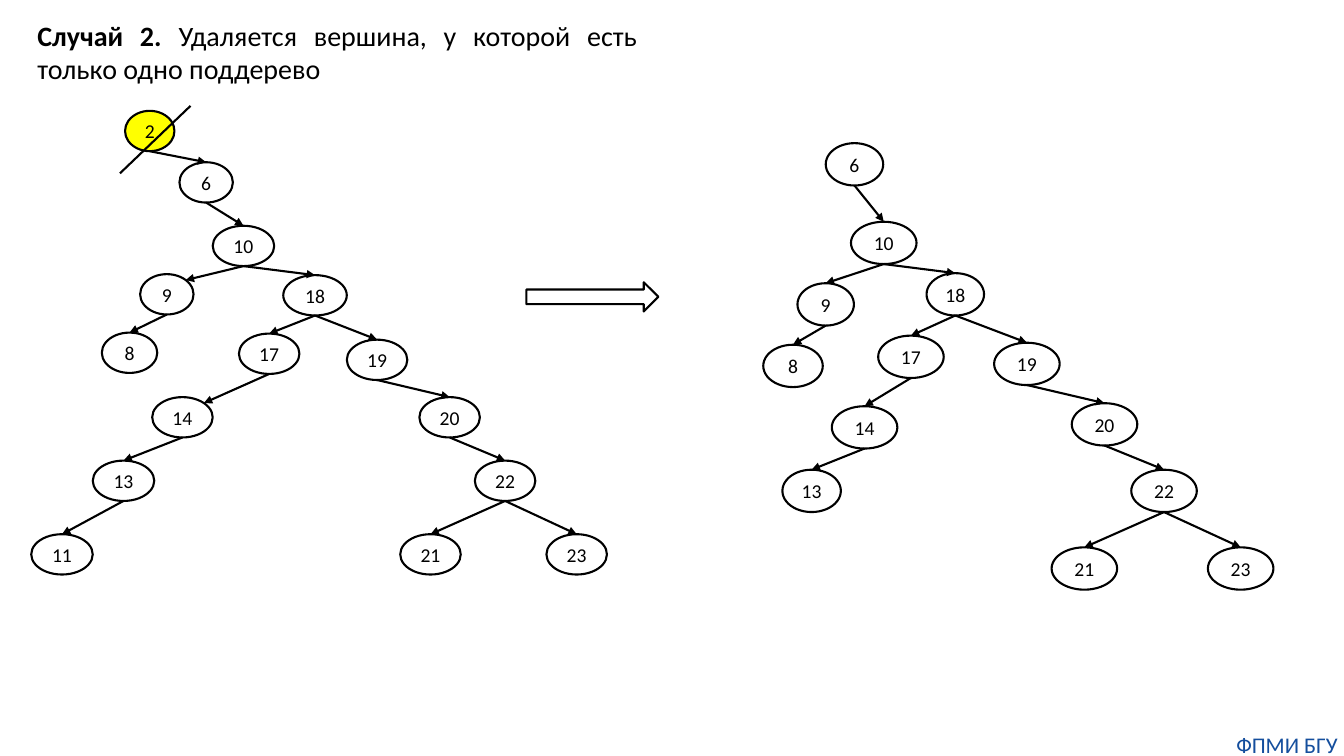
from dataclasses import dataclass
from math import sqrt

from lxml.etree import SubElement
from pptx import Presentation
from pptx.dml.color import RGBColor
from pptx.enum.shapes import MSO_CONNECTOR as CXN, MSO_SHAPE as SHAPE
from pptx.enum.text import MSO_ANCHOR as ANCHOR, MSO_AUTO_SIZE as FIT, PP_ALIGN as ALIGN
from pptx.oxml.ns import qn
from pptx.util import Inches, Pt


@dataclass(frozen=True)
class Theme:
    font: str = "Calibri"
    ink: RGBColor = RGBColor(0, 0, 0)
    footer: RGBColor = RGBColor(0x14, 0x4E, 0x9D)
    deleted: RGBColor = RGBColor(0xFF, 0xFF, 0)
    title_size: Pt = Pt(20)
    node_size: Pt = Pt(14)
    footer_size: Pt = Pt(16)
    line: Pt = Pt(1.5)


THEME = Theme()
NO_INSETS = dict.fromkeys(("margin_left", "margin_top", "margin_right", "margin_bottom"), 0)

EDGES = [(10, 9), (9, 8), (18, 17), (13, 11), (17, 14), (14, 13), (2, 6), (10, 18),
         (6, 10), (18, 19), (19, 20), (20, 22), (22, 21), (22, 23)]

BEFORE_BOX = (0.31, 1.1, 5.71, 4.6)
BEFORE = {
    10: (1.8, 1.14, 0.61), 18: (2.5, 1.63, 0.63), 23: (5.11, 4.2, 0.6),
    21: (3.66, 4.2, 0.6), 22: (4.4, 3.47, 0.6), 20: (3.85, 2.84, 0.6),
    19: (3.13, 2.27, 0.6), 11: (0, 4.2, 0.61), 13: (0.61, 3.47, 0.61),
    14: (1.2, 2.84, 0.6), 17: (2.06, 2.21, 0.6), 6: (1.47, 0.51, 0.53),
    8: (0.7, 2.2, 0.55), 9: (1.08, 1.62, 0.53), 2: (0.93, 0, 0.49),
}
AFTER_BOX = (7.57, 1.42, 5.06, 4.43)
AFTER = {
    10: (0.87, 0.78, 0.65), 18: (1.62, 1.29, 0.57), 23: (4.41, 4.01, 0.65),
    21: (2.86, 4.01, 0.65), 22: (3.65, 3.24, 0.65), 20: (3.06, 2.58, 0.65),
    19: (2.29, 1.98, 0.65), 13: (0.19, 3.24, 0.58), 14: (0.68, 2.61, 0.65),
    17: (1.14, 1.91, 0.65), 6: (0.62, 0, 0.57), 8: (0, 2, 0.59), 9: (0.34, 1.39, 0.56),
}


def set_attrs(target, values):
    for name, value in values.items():
        setattr(target, name, value)


def add_run(p, text, size, color, bold=False):
    r = p.add_run()
    r.text = text
    set_attrs(r.font, {"name": THEME.font, "size": size, "bold": bold})
    r.font.color.rgb = color


def outline(sp):
    sp.shadow.inherit = False
    sp.fill.background()
    set_attrs(sp.line, {"width": THEME.line})
    sp.line.color.rgb = THEME.ink


def add_line(shapes, start, end, arrow=True):
    cxn = shapes.add_connector(CXN.STRAIGHT, *map(Inches, start + end))
    cxn.line.width = THEME.line
    cxn.line.color.rgb = THEME.ink
    if arrow:
        SubElement(cxn.line._get_or_add_ln(), qn("a:tailEnd"), type="triangle")
    SubElement(cxn._element.spPr, qn("a:effectLst"))


def add_node(shapes, key, x, y, w, h):
    sp = shapes.add_shape(SHAPE.OVAL, *map(Inches, (x, y, w, h)))
    outline(sp)
    tf = sp.text_frame
    set_attrs(tf, {**NO_INSETS, "word_wrap": False, "vertical_anchor": ANCHOR.MIDDLE})
    p = tf.paragraphs[0]
    p.alignment = ALIGN.CENTER
    add_run(p, str(key), THEME.node_size, THEME.ink)
    return sp


def add_tree(slide, box, nodes, node_height, side_entries=(), deleted=None):
    left, top = box[:2]
    shapes = slide.shapes.add_group_shape().shapes
    places = {key: (left + x, top + y, w) for key, (x, y, w) in nodes.items()}
    for key, place in places.items():
        sp = add_node(shapes, key, *place, node_height)
        if key == deleted:
            sp.fill.solid()
            sp.fill.fore_color.rgb = THEME.deleted
    for parent, child in EDGES:
        if parent not in places or child not in places:
            continue
        px, py, pw = places[parent]
        cx, cy, cw = places[child]
        end = (cx + cw / 2, cy)
        if child in side_entries:
            end = (cx + cw / 2 * (1 + sqrt(0.5)), cy + node_height / 2 * (1 - sqrt(0.5)))
        add_line(shapes, (px + pw / 2, py + node_height), end)


def add_transition(slide, box):
    outline(slide.shapes.add_shape(SHAPE.RIGHT_ARROW, *map(Inches, box)))


def add_strike(slide, box):
    x, y, w, h = box
    add_line(slide.shapes, (x + w, y), (x, y + h), arrow=False)


def add_footer(slide, box):
    tf = slide.shapes.add_textbox(*map(Inches, box)).text_frame
    set_attrs(tf, {**NO_INSETS, "word_wrap": True, "auto_size": FIT.SHAPE_TO_FIT_TEXT})
    p = tf.paragraphs[0]
    p.alignment = ALIGN.CENTER
    add_run(p, "ФПМИ БГУ", THEME.footer_size, THEME.footer)


def add_title(slide, box):
    title = slide.shapes.title
    set_attrs(title, dict(zip(("left", "top", "width", "height"), map(Inches, box))))
    tf = title.text_frame
    set_attrs(tf, {"word_wrap": True, "vertical_anchor": ANCHOR.TOP,
                   "auto_size": FIT.SHAPE_TO_FIT_TEXT})
    p = tf.paragraphs[0]
    p.alignment = ALIGN.JUSTIFY
    add_run(p, "Случай 2.", THEME.title_size, THEME.ink, bold=True)
    add_run(p, " Удаляется вершина, у которой есть только одно поддерево",
            THEME.title_size, THEME.ink)


def main():
    prs = Presentation()
    set_attrs(prs, {"slide_width": Inches(13.33), "slide_height": Inches(7.5)})
    slide = prs.slides.add_slide(prs.slide_layouts[5])
    add_title(slide, (0.27, 0.13, 6.15, 0.77))
    add_tree(slide, BEFORE_BOX, BEFORE, 0.4, side_entries=(9, 14), deleted=2)
    add_tree(slide, AFTER_BOX, AFTER, 0.42)
    add_transition(slide, (5.22, 2.8, 1.31, 0.29))
    add_strike(slide, (1.19, 1.05, 0.7, 0.67))
    add_footer(slide, (12.2, 7.25, 1.13, 0.27))
    prs.save("out.pptx")


if __name__ == "__main__":
    main()
